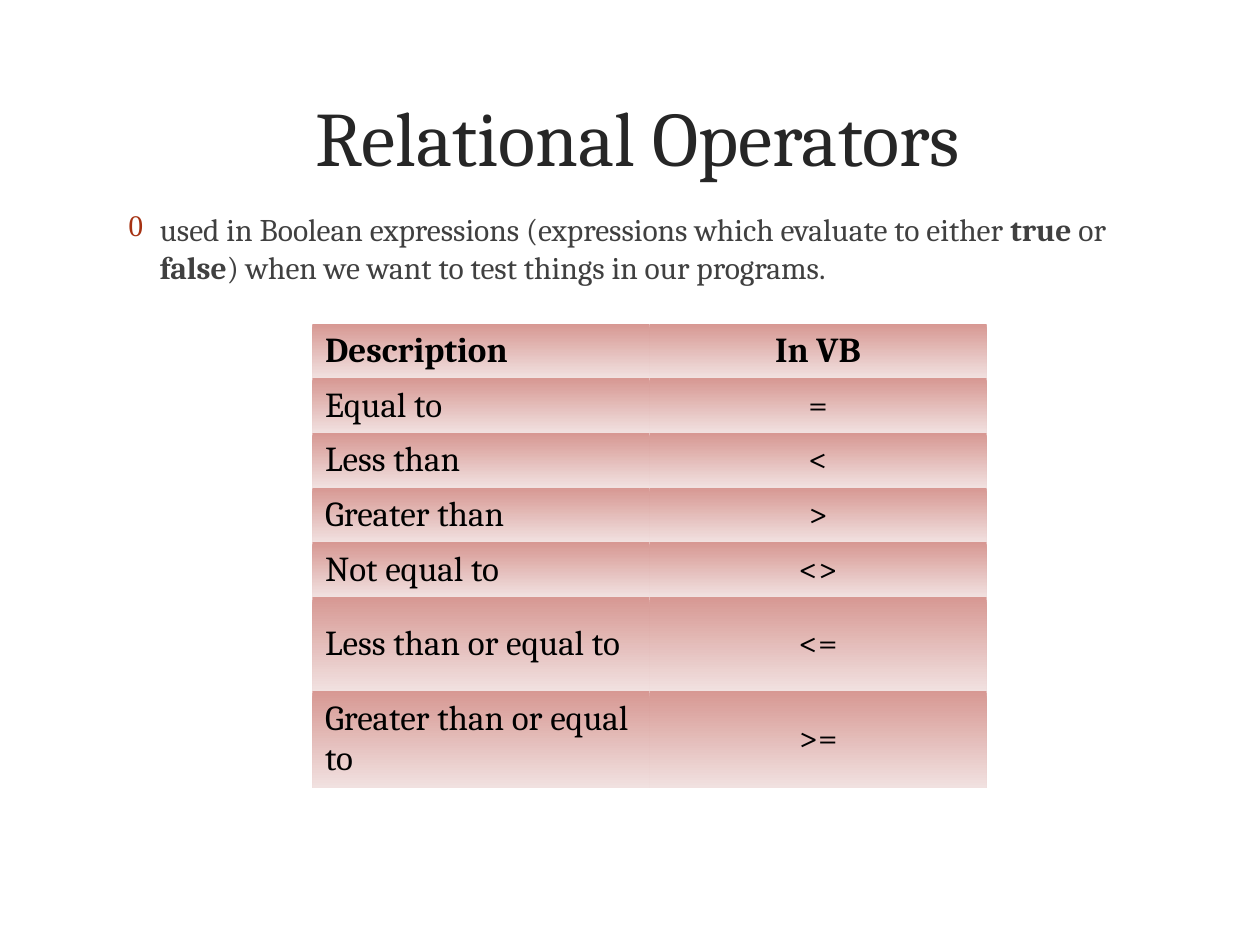
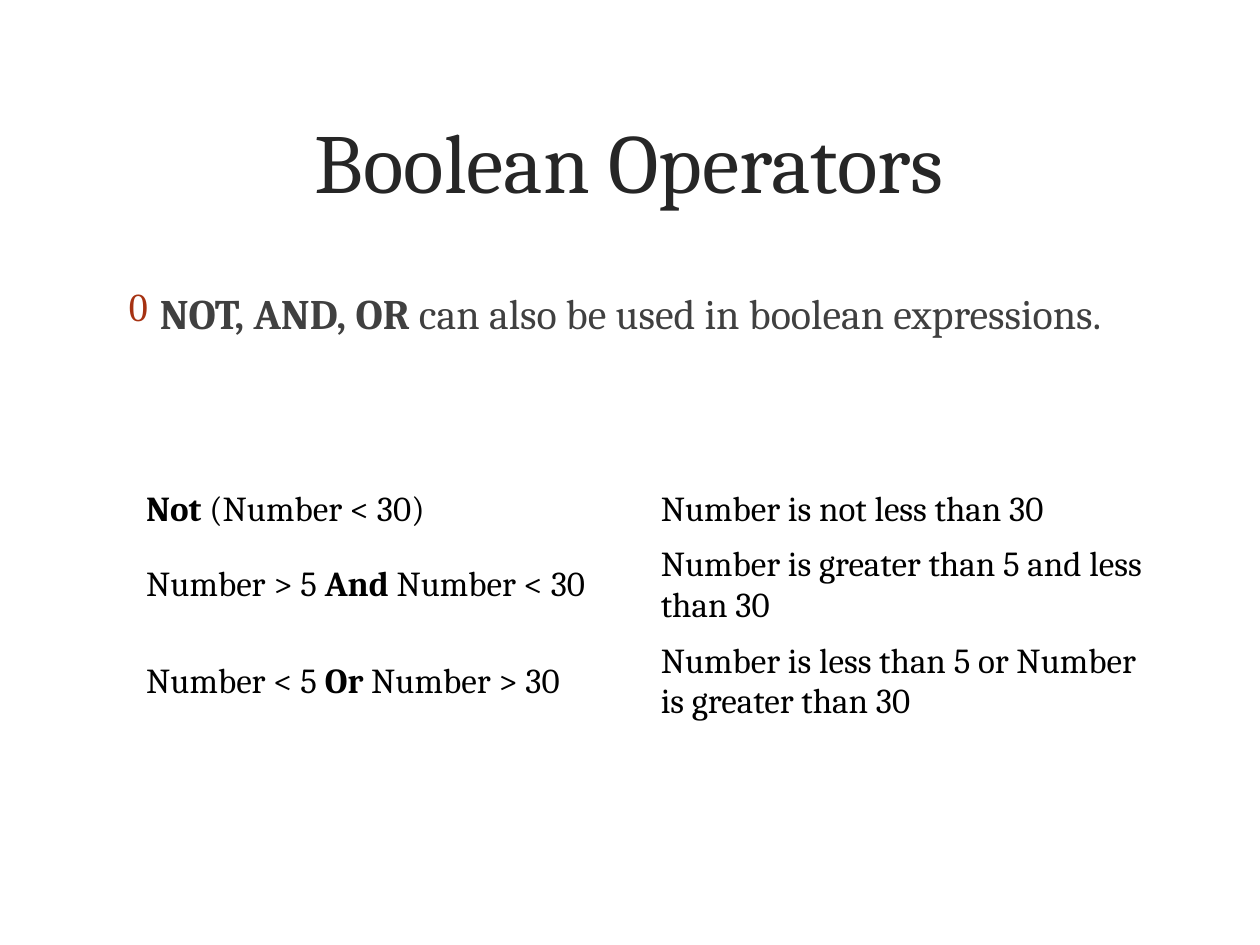
"""Build two slides on relational and Boolean operators."""
from dataclasses import dataclass

from lxml import etree
from pptx import Presentation
from pptx.dml.color import RGBColor
from pptx.enum.text import MSO_ANCHOR, PP_ALIGN
from pptx.oxml.ns import qn
from pptx.util import Inches, Pt

MID = MSO_ANCHOR.MIDDLE
TOP = MSO_ANCHOR.TOP
LEFT = PP_ALIGN.LEFT
MIDST = PP_ALIGN.CENTER
FONT = "Cambria"
HUES = {"title": "262626", "body": "404040", "cell": "000000",
        "mark": "A63212", "dark": "D79893", "pale": "F1E1E0"}
WIDE, HIGH = Inches(10), Inches(7.5)
COLS, ROWS = 100, 75
PLAIN = "{2D5ABB26-0587-4C30-8999-92F81FD0307C}"


@dataclass(frozen=True)
class Box:
    """A place in grid columns and rows."""
    left: float
    top: float
    wide: float
    high: float

    def at(self) -> tuple[int, int, int, int]:
        """Return the place in slide units."""
        return (col(self.left), row(self.top),
                col(self.wide), row(self.high))


@dataclass(frozen=True)
class Style:
    """The look of a text."""
    size: float
    hue: str
    align: int = LEFT


@dataclass(frozen=True)
class Grid:
    """A table with its row heights; ** marks bold text."""
    box: Box
    highs: tuple[float, ...]
    cells: tuple[tuple[str, str], ...]
    align: int = LEFT
    shade: bool = False


@dataclass(frozen=True)
class Page:
    """The parts of one slide."""
    title: str
    head: Box
    big: float
    point: str
    body: Box
    size: float
    grid: Grid


def col(count: float) -> int:
    """Turn grid columns into a length."""
    return round(WIDE * count / COLS)


def row(count: float) -> int:
    """Turn grid rows into a length."""
    return round(HIGH * count / ROWS)


def rgb(name: str) -> RGBColor:
    """Look up a named colour."""
    return RGBColor.from_string(HUES[name])


def write(para, text: str, style: Style) -> None:
    """Fill a paragraph, with marked parts in bold."""
    para.alignment = style.align
    for turn, part in enumerate(text.split("**")):
        if part:
            run = para.add_run()
            run.text = part
            run.font.name = FONT
            run.font.size = Pt(style.size)
            run.font.bold = turn % 2 == 1
            run.font.color.rgb = rgb(style.hue)


def add_text(slide, box: Box, text: str, style: Style, anchor: int):
    """Add a wrapped text box and return its paragraph."""
    frame = slide.shapes.add_textbox(*box.at()).text_frame
    frame.word_wrap = True
    frame.vertical_anchor = anchor
    para = frame.paragraphs[0]
    write(para, text, style)
    return para


def add_mark(para, size: float) -> None:
    """Give a paragraph a hanging bullet."""
    para.space_before = Pt(size * 0.2)
    props = para._p.get_or_add_pPr()
    props.set("marL", str(col(2.5)))
    props.set("indent", str(-col(2.5)))
    tint = etree.SubElement(props, qn("a:buClr"))
    etree.SubElement(tint, qn("a:srgbClr"), val=HUES["mark"])
    etree.SubElement(props, qn("a:buSzPct"), val="95000")
    etree.SubElement(props, qn("a:buChar"), char="0")


def paint(cell, shade: bool) -> None:
    """Fill a cell with the fade, or with nothing."""
    if not shade:
        cell.fill.background()
        return
    cell.fill.gradient()
    cell.fill.gradient_angle = 270
    for stop, name in zip(cell.fill.gradient_stops, ("dark", "pale")):
        stop.color.rgb = rgb(name)


def add_grid(slide, grid: Grid) -> None:
    """Add a plain table of two equal columns."""
    table = slide.shapes.add_table(
        len(grid.cells), 2, *grid.box.at()).table
    table.first_row = table.horz_banding = False
    table._tbl.tblPr.find(qn("a:tableStyleId")).text = PLAIN
    for line, high, texts in zip(table.rows, grid.highs, grid.cells):
        line.height = row(high)
        for cell, text, align in zip(line.cells, texts, (LEFT, grid.align)):
            cell.vertical_anchor = MID
            paint(cell, grid.shade)
            write(cell.text_frame.paragraphs[0], text,
                  Style(20, "cell", align))


def add_page(deck, page: Page) -> None:
    """Add a slide with title, point and table."""
    slide = deck.slides.add_slide(deck.slide_layouts[6])
    add_text(slide, page.head, page.title,
             Style(page.big, "title", MIDST), MID)
    para = add_text(slide, page.body, page.point,
                    Style(page.size, "body"), TOP)
    add_mark(para, page.size)
    add_grid(slide, page.grid)


PAGES = (
    Page("Relational Operators", Box(6.7, 2.9, 87.9, 15.8), 44,
         "used in Boolean expressions (expressions which evaluate to "
         "either **true** or **false**) when we want to test things "
         "in our programs.",
         Box(9.2, 16.2, 81.7, 54.3), 18,
         Grid(Box(24.8, 25.7, 53.5, 36.2), (4.26,) * 5 + (7.45,) * 2, (
             ("**Description**", "**In VB**"),
             ("Equal to", "="),
             ("Less than", "<"),
             ("Greater than", ">"),
             ("Not equal to", "<>"),
             ("Less than or equal to", "<="),
             ("Greater than or equal to", ">="),
         ), MIDST, True)),
    Page("Boolean Operators", Box(6, 4.8, 87.9, 15.8), 48,
         "**NOT, AND, OR** can also be used in boolean expressions.",
         Box(9.2, 22.3, 81.7, 43.2), 24,
         Grid(Box(10.6, 38.3, 81.7, 19), (4.26, 7.37, 7.37), (
             ("**Not **(Number < 30)", "Number is not less than 30"),
             ("Number > 5 **And** Number < 30",
              "Number is greater than 5 and less than 30"),
             ("Number < 5 **Or** Number > 30",
              "Number is less than 5 or Number is greater than 30"),
         ))),
)


def main() -> None:
    """Build and save the deck."""
    deck = Presentation()
    deck.slide_width, deck.slide_height = WIDE, HIGH
    for page in PAGES:
        add_page(deck, page)
    deck.save("out.pptx")


main()
